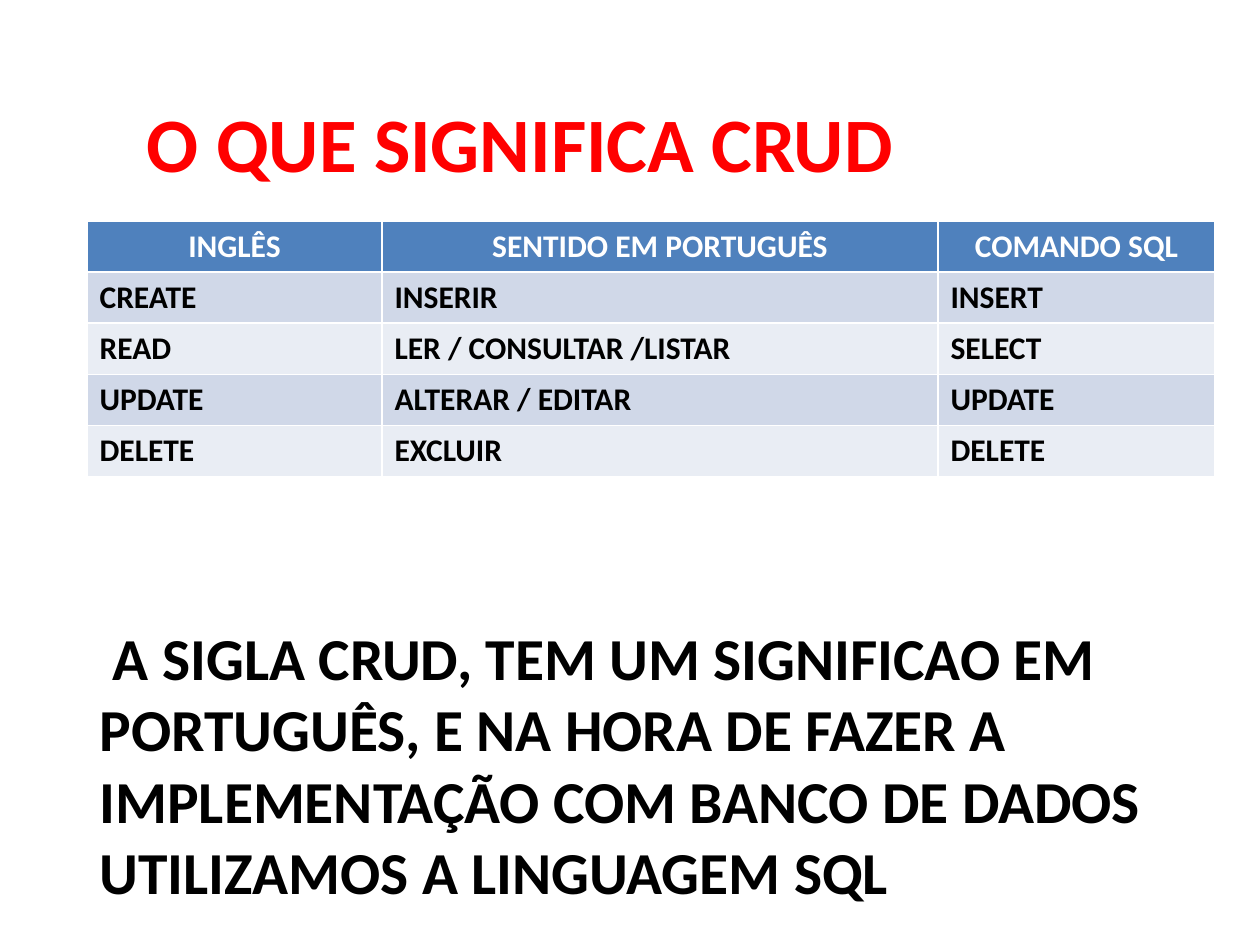
from dataclasses import dataclass
from lxml.etree import SubElement
from pptx import Presentation
from pptx.dml.color import RGBColor as Rgb
from pptx.enum.text import MSO_ANCHOR as Anchor, MSO_AUTO_SIZE as Auto, PP_ALIGN as Align
from pptx.oxml.ns import qn
from pptx.util import Pt

PX = 914400 // 126
FONT = "Calibri"
RED = Rgb(0xFF, 0x00, 0x00)
BLACK = Rgb(0x00, 0x00, 0x00)
WHITE = Rgb(0xFF, 0xFF, 0xFF)
BLUE = Rgb(0x4F, 0x81, 0xBD)
BANDS = Rgb(0xD0, 0xD8, 0xE8), Rgb(0xE9, 0xED, 0xF4)


@dataclass
class Box:
    left: int
    top: int
    width: int
    height: int

    def emu(self) -> list[int]:
        return [n * PX for n in (self.left, self.top, self.width, self.height)]


@dataclass
class Row:
    cells: tuple[str, str, str]
    fill: Rgb
    color: Rgb = BLACK
    align: Align = Align.LEFT
    anchor: Anchor = Anchor.TOP


COLS = 295, 556, 277
ROW_H = 51
HEAD = Row(("INGLÊS", "SENTIDO EM PORTUGUÊS", "COMANDO SQL"),
           BLUE, WHITE, Align.CENTER, Anchor.MIDDLE)
TERMS = [
    ("CREATE", "INSERIR", "INSERT"),
    ("READ", "LER / CONSULTAR /LISTAR", "SELECT"),
    ("UPDATE", "ALTERAR / EDITAR", "UPDATE"),
    ("DELETE", "EXCLUIR", "DELETE"),
]
ROWS = [HEAD] + [Row(term, BANDS[i % 2]) for i, term in enumerate(TERMS)]
NOTE = (" A SIGLA CRUD, TEM UM SIGNIFICAO EM PORTUGUÊS, E NA HORA DE FAZER A "
        "IMPLEMENTAÇÃO COM BANCO DE DADOS UTILIZAMOS A LINGUAGEM SQL")


def write(frame, text: str, *, size: int, color: Rgb = BLACK, align: Align = Align.LEFT):
    para = frame.paragraphs[0]
    para.alignment = align
    para.space_before = Pt(0)
    run = para.add_run()
    run.text = text
    font = run.font
    font.name, font.size, font.bold = FONT, Pt(size), True
    font.color.rgb = color
    return para


def place(holder, box: Box, anchor: Anchor):
    """Move a placeholder and return its text frame."""
    holder.left, holder.top, holder.width, holder.height = box.emu()
    frame = holder.text_frame
    frame.word_wrap = True
    frame.auto_size = Auto.NONE
    frame.vertical_anchor = anchor
    return frame


def draw_table(slide, left: int, top: int, rows: list[Row]) -> None:
    box = Box(left, top, sum(COLS), ROW_H * len(rows))
    table = slide.shapes.add_table(len(rows), len(COLS), *box.emu()).table
    for col, width in zip(table.columns, COLS):
        col.width = width * PX
    for line, row in zip(table.rows, rows):
        line.height = ROW_H * PX
        for cell, text in zip(line.cells, row.cells):
            cell.fill.solid()
            cell.fill.fore_color.rgb = row.fill
            cell.vertical_anchor = row.anchor
            write(cell.text_frame, text, size=18, color=row.color, align=row.align)


def main() -> None:
    deck = Presentation()
    deck.slide_width, deck.slide_height = 1260 * PX, 945 * PX
    slide = deck.slides.add_slide(deck.slide_layouts[1])
    title, body = slide.placeholders

    frame = place(title, Box(134, 63, 963, 158), Anchor.MIDDLE)
    write(frame, "O QUE SIGNIFICA CRUD", size=44, color=RED)

    draw_table(slide, 87, 221, ROWS)

    frame = place(body, Box(87, 542, 1086, 311), Anchor.TOP)
    frame.margin_top = 79 * PX
    props = write(frame, NOTE, size=34)._p.get_or_add_pPr()
    props.set("marL", "0")
    props.set("indent", "0")
    SubElement(props, qn("a:buNone"))

    deck.save("out.pptx")


if __name__ == "__main__":
    main()
